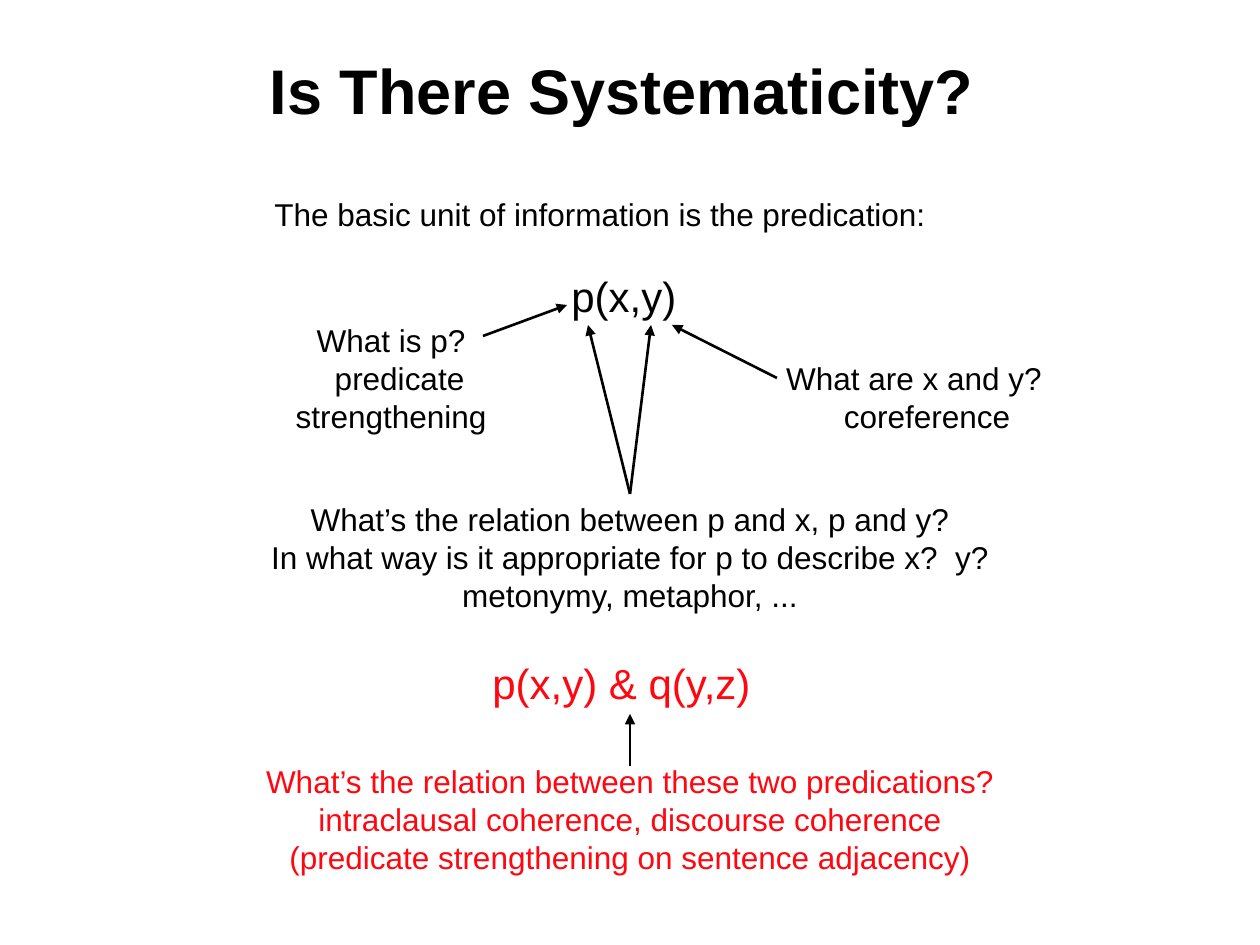
from pptx import Presentation
from pptx.dml.color import RGBColor
from pptx.enum.shapes import MSO_CONNECTOR
from pptx.enum.text import MSO_ANCHOR as ANCHOR, PP_ALIGN as ALIGN
from pptx.oxml.ns import qn
from pptx.util import Emu, Pt
from lxml.etree import SubElement

BLACK = RGBColor(0x00, 0x00, 0x00)
RED = RGBColor(0xFF, 0x07, 0x10)
FONT = "Arial"
BODY, FORMULA, TITLE = 18, 24, 36
LINE_HEIGHT = 1.2


def px(value):
    return Emu(round(value * 914400 / 126))


def add_text(p, text, size=BODY, color=BLACK, bold=False, align=ALIGN.CENTER,
             indent=0, before=0):
    p.alignment = align
    p.line_spacing = Pt(size * LINE_HEIGHT)
    p.space_before = Pt(before)
    if indent:
        p._p.get_or_add_pPr().set("marL", str(px(indent)))
    r = p.add_run()
    r.text = text
    r.font.name = FONT
    r.font.size = Pt(size)
    r.font.bold = bold
    r.font.color.rgb = color


class Deck:
    def __init__(self, width, height):
        self.prs = Presentation()
        self.prs.slide_width, self.prs.slide_height = px(width), px(height)
        self.s = self.prs.slides.add_slide(self.prs.slide_layouts[6])

    def text(self, box, *lines, anchor=ANCHOR.TOP, wrap=False, **style):
        tf = self.s.shapes.add_textbox(*map(px, box)).text_frame
        tf.word_wrap = wrap
        tf.vertical_anchor = anchor
        for i, line in enumerate(lines):
            text, extra = line if isinstance(line, tuple) else (line, {})
            p = tf.add_paragraph() if i else tf.paragraphs[0]
            add_text(p, text, **{**style, **extra})

    def arrow(self, start, end):
        sp = self.s.shapes.add_connector(
            MSO_CONNECTOR.STRAIGHT, *map(px, start + end))
        sp.line.color.rgb = BLACK
        sp.line.width = Pt(1.5)
        sp_pr = sp._element.spPr
        SubElement(sp_pr.get_or_add_ln(), qn("a:tailEnd"), type="triangle")
        SubElement(sp_pr, qn("a:effectLst"))


def main():
    deck = Deck(1260, 945)
    deck.text((95, 10, 1071, 158), "Is There Systematicity? ",
              size=TITLE, bold=True, anchor=ANCHOR.MIDDLE, wrap=True)
    deck.text((262, 189, 680, 139),
              "The basic unit of information is the predication:",
              ("p(x,y)", dict(size=FORMULA, indent=297,
                              before=BODY * LINE_HEIGHT)),
              align=ALIGN.LEFT)
    deck.text((281, 315, 220, 126), "What is p?",
              ("predicate", dict(indent=17)), "strengthening")
    deck.text((772, 353, 284, 88), "What are x and y?",
              ("coreference", dict(indent=26)))
    deck.text((255, 494, 750, 126),
              "What’s the relation between p and x, p and y?",
              "In what way is it appropriate for p to describe x?  y?",
              "metonymy, metaphor, ...")
    deck.text((480, 651, 288, 63), "p(x,y) & q(y,z)",
              size=FORMULA, color=RED, align=ALIGN.LEFT)
    deck.text((251, 756, 758, 126),
              "What’s the relation between these two predications?",
              "intraclausal coherence, discourse coherence",
              "(predicate strengthening on sentence adjacency)", color=RED)

    relation = (630, 494)
    for start, end in [((483, 336), (567, 305)),
                       ((777, 378), (672, 325)),
                       (relation, (588, 325)),
                       (relation, (651, 325)),
                       ((630, 766), (630, 714))]:
        deck.arrow(start, end)
    deck.prs.save("out.pptx")


if __name__ == "__main__":
    main()
